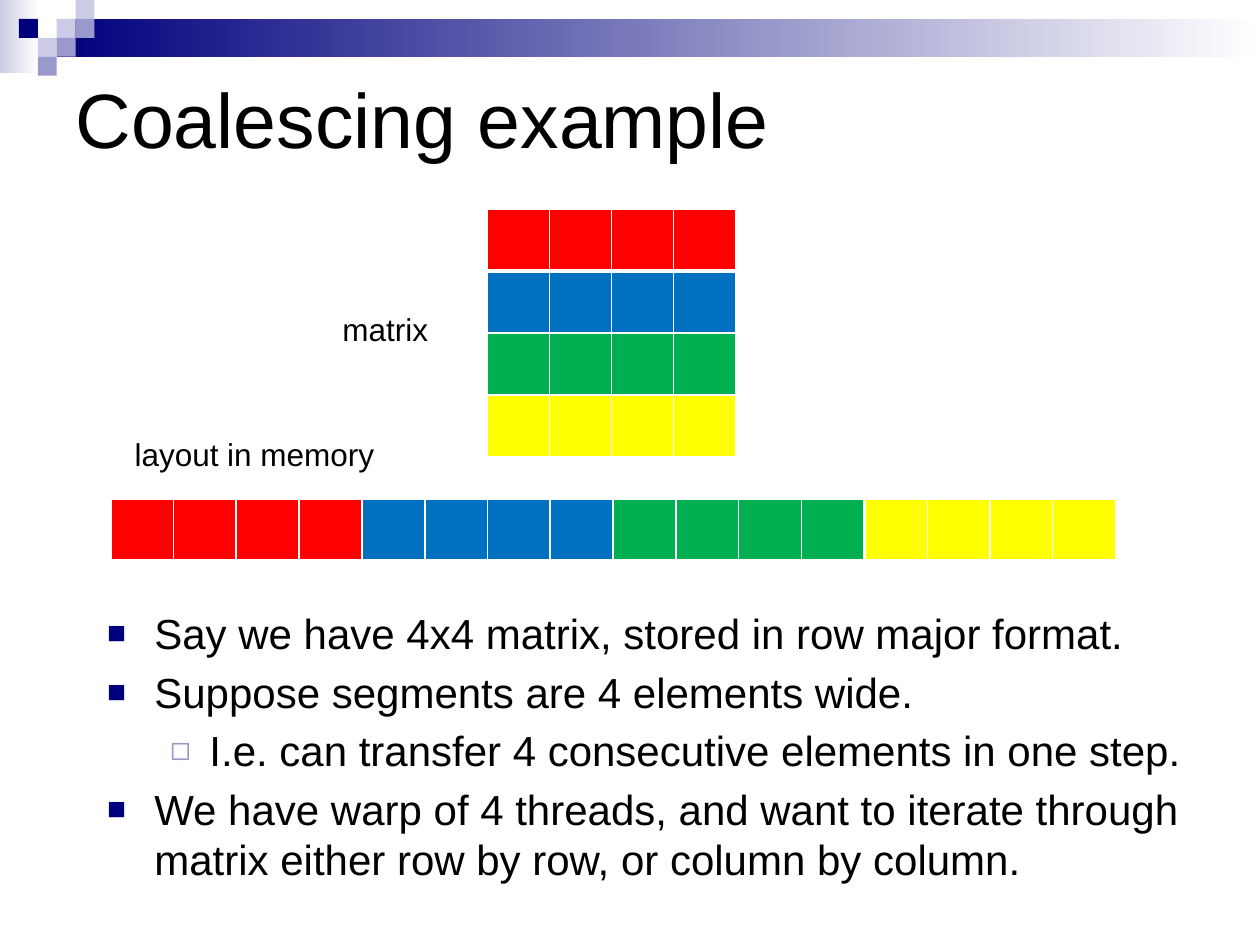
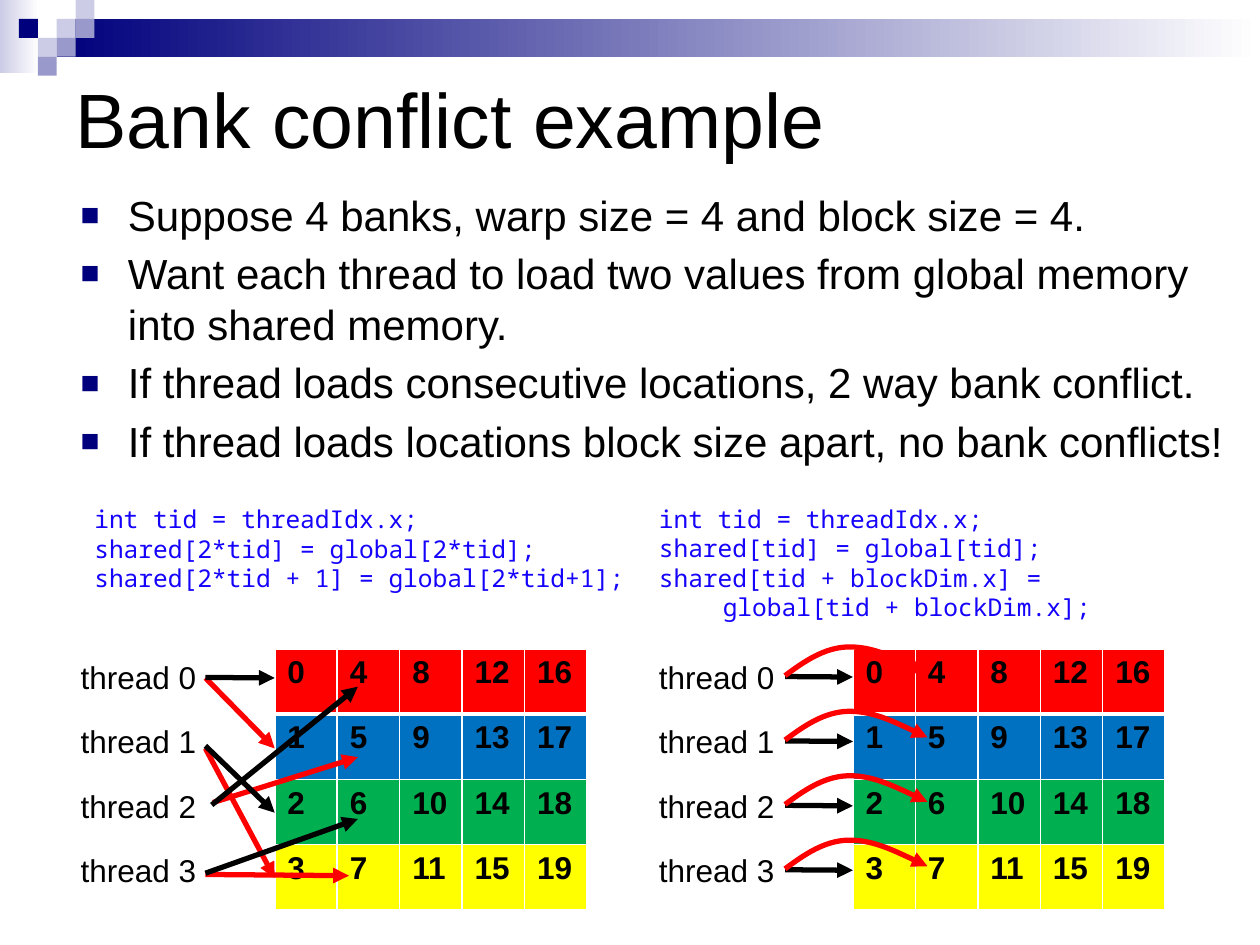
"""Build two slides on memory coalescing and shared-memory bank conflicts."""
from dataclasses import dataclass
from typing import NamedTuple, Optional

import lxml.etree as etree
import pptx
import pptx.dml.color
import pptx.enum.shapes
import pptx.enum.text
import pptx.oxml.ns
import pptx.util

Pt = pptx.util.Pt
RGB = pptx.dml.color.RGBColor.from_string
qn = pptx.oxml.ns.qn
RECT = pptx.enum.shapes.MSO_SHAPE.RECTANGLE
STRAIGHT = pptx.enum.shapes.MSO_CONNECTOR.STRAIGHT
LEFT = pptx.enum.text.PP_ALIGN.LEFT
MIDDLE = pptx.enum.text.MSO_ANCHOR.MIDDLE


@dataclass(frozen=True)
class Theme:
    navy: str = "00007D"
    lilac: str = "9999CC"
    pale: str = "CCCCE6"
    white: str = "FFFFFF"
    black: str = "000000"
    red: str = "FF0000"
    code: str = "1503FB"
    rows: tuple = ("FF0000", "0070C0", "00B050", "FFFF00")
    font: str = "Arial"
    mono: str = "Noto Sans Mono"
    title_size: float = 44
    body_size: float = 24
    label_size: float = 18
    code_size: float = 14
    arrow_width: float = 3


T = Theme()


class Box(NamedTuple):
    x: float
    y: float
    w: float
    h: float

    def lengths(self) -> list:
        return [Pt(v) for v in self]


class Bullet(NamedTuple):
    char: str
    color: str
    percent: int
    margin: float
    hang: float


class Square(NamedTuple):
    col: int
    row: int
    color: str


class Arrow(NamedTuple):
    x1: float
    y1: float
    x2: float
    y2: float
    color: str


BULLETS = (Bullet("■", T.navy, 75, 27, 27), Bullet("◻", T.lilac, 80, 58.5, 22.5))
UNIT = 10.8
SQUARES = (
    Square(3, 1, T.pale), Square(4, 0, T.pale), Square(4, 1, T.lilac), Square(2, 2, T.pale),
    Square(1, 1, T.navy), Square(3, 2, T.lilac), Square(2, 3, T.lilac),
)
CONSECUTIVE_ARROWS = (
    Arrow(117.4, 387.4, 157, 427.7, T.red), Arrow(117.4, 427.7, 157, 501.8, T.red),
    Arrow(121.7, 458.6, 204.5, 432.7, T.red), Arrow(117.4, 499.7, 199.4, 500.4, T.red),
    Arrow(117.4, 387.1, 157, 387.4, T.black), Arrow(117.4, 426.2, 157, 464.4, T.black),
    Arrow(121, 460, 204.5, 392.4, T.black), Arrow(117.4, 499, 204.5, 468, T.black),
)
ARC = ((10.8, -8), (22.3, -16), (36, -16.4), (49.7, -16.6), (65.5, -9), (81.4, -1.5))


def write(tf, text: str, *, size: float, font: str = T.font, color: str = T.black,
          bold: bool = False, level: int = 0, bullet: Optional[Bullet] = None,
          margin: float = 0):
    """Add one formatted paragraph to a text frame."""
    p = tf.paragraphs[0] if not tf.text else tf.add_paragraph()
    p.text = text
    p.level = level
    p.alignment = LEFT
    for r in p.runs:
        r.font.name, r.font.size, r.font.bold = font, Pt(size), bold
        r.font.color.rgb = RGB(color)
    pPr = p._p.get_or_add_pPr()
    if margin:
        pPr.set("marL", str(Pt(margin)))
        pPr.set("indent", str(-Pt(margin)))
    if bullet:
        pPr.set("marL", str(Pt(bullet.margin)))
        pPr.set("indent", str(-Pt(bullet.hang)))
        clr = etree.SubElement(pPr, qn("a:buClr"))
        etree.SubElement(clr, qn("a:srgbClr"), val=bullet.color)
        etree.SubElement(pPr, qn("a:buSzPct"), val=str(bullet.percent * 1000))
        etree.SubElement(pPr, qn("a:buFont"), typeface=T.font)
        etree.SubElement(pPr, qn("a:buChar"), char=bullet.char)
    return p


def place(sp, box: Box) -> None:
    """Move and size a shape."""
    sp.left, sp.top, sp.width, sp.height = box.lengths()


def add_rect(s, box: Box, color: str, fade_to: Optional[str] = None):
    """Add a plain or left-to-right graded rectangle."""
    sp = s.shapes.add_shape(RECT, *box.lengths())
    sp.shadow.inherit = False
    sp.line.fill.background()
    if fade_to:
        sp.fill.gradient()
        sp.fill.gradient_angle = 0
        for stop, stop_color in zip(sp.fill.gradient_stops, (color, fade_to)):
            stop.color.rgb = RGB(stop_color)
    else:
        sp.fill.solid()
        sp.fill.fore_color.rgb = RGB(color)
    return sp


def decorate_master(prs, s) -> None:
    """Put the header band and its squares on the slide master."""
    shapes = [add_rect(s, Box(0, 0, 22.3, 41.8), T.pale, T.white),
              add_rect(s, Box(3 * UNIT, UNIT, 720 - 3 * UNIT, 2 * UNIT), T.navy, T.white)]
    shapes += [add_rect(s, Box(q.col * UNIT, q.row * UNIT, UNIT, UNIT), q.color)
               for q in SQUARES]
    for i, sp in enumerate(shapes):
        prs.slide_master.shapes.element.insert(2 + i, sp.element)


def add_slide(prs, title: str, body: Box, items: tuple):
    """Add a slide with a title and a bulleted list of (level, text)."""
    s = prs.slides.add_slide(prs.slide_layouts[1])
    place(s.shapes.title, Box(36, 36, 648, 62))
    tf = s.shapes.title.text_frame
    tf.vertical_anchor = MIDDLE
    write(tf, title, size=T.title_size)
    sp = s.placeholders[1]
    place(sp, body)
    sp.text_frame.auto_size = pptx.enum.text.MSO_AUTO_SIZE.NONE
    for level, text in items:
        write(sp.text_frame, text, size=T.body_size, level=level, bullet=BULLETS[level])
    return s


def add_text(s, box: Box, *lines: str, hang_last: float = 0, **style) -> None:
    """Add a wrapping text box, optionally with a hanging last line."""
    tf = s.shapes.add_textbox(*box.lengths()).text_frame
    tf.word_wrap = True
    for line in lines:
        write(tf, line, margin=hang_last if line == lines[-1] else 0, **style)


def add_border(cell, side: str, width: float) -> None:
    """Give one side of a cell a white line."""
    ln = etree.SubElement(cell._tc.get_or_add_tcPr(), qn("a:" + side), w=str(Pt(width)))
    fill = etree.SubElement(ln, qn("a:solidFill"))
    etree.SubElement(fill, qn("a:srgbClr"), val=T.white)


def add_grid(s, box: Box, colors: tuple, cols: int, numbered: bool = False) -> None:
    """Add a table with one colour a row, numbered down the columns if asked."""
    rows = len(colors)
    tbl = s.shapes.add_table(rows, cols, *box.lengths()).table
    tbl.first_row = tbl.horz_banding = False
    for i, color in enumerate(colors):
        tbl.rows[i].height = Pt(box.h / rows)
        for j in range(cols):
            tbl.columns[j].width = Pt(box.w / cols)
            cell = tbl.cell(i, j)
            for side, width in (("lnL", 1), ("lnR", 1), ("lnT", 3 if i == 1 else 1),
                                ("lnB", 3 if i == 0 else 1)):
                add_border(cell, side, width)
            cell.fill.solid()
            cell.fill.fore_color.rgb = RGB(color)
            if numbered:
                write(cell.text_frame, str(j * rows + i), size=T.label_size, bold=True)


def style_arrow(sp, color: str) -> None:
    """Set the line of a connector or curve and give it an arrowhead."""
    sp.line.color.rgb = RGB(color)
    sp.line.width = Pt(T.arrow_width)
    ln = sp.element.spPr.find(qn("a:ln"))
    etree.SubElement(ln, qn("a:tailEnd"), type="triangle")


def add_arrow(s, a: Arrow) -> None:
    """Add a straight arrow."""
    sp = s.shapes.add_connector(STRAIGHT, Pt(a.x1), Pt(a.y1), Pt(a.x2), Pt(a.y2))
    style_arrow(sp, a.color)
    etree.SubElement(sp.element.spPr, qn("a:effectLst"))


def add_arc(s, x: float, y: float) -> None:
    """Add a curved red arrow made of two cubic segments."""
    fb = s.shapes.build_freeform(Pt(x), Pt(y))
    fb.add_line_segments([(Pt(x + dx), Pt(y + dy)) for dx, dy in ARC], close=False)
    sp = fb.convert_to_shape()
    outline = sp.element.find(".//" + qn("a:path"))
    segments = outline.findall(qn("a:lnTo"))
    for i in range(0, len(segments), 3):
        curve = etree.SubElement(outline, qn("a:cubicBezTo"))
        for segment in segments[i:i + 3]:
            curve.append(segment[0])
            outline.remove(segment)
    sp.fill.background()
    style_arrow(sp, T.red)
    sp.shadow.inherit = False


def add_bank_panel(s, x: float) -> None:
    """Add the numbered bank table and its thread labels."""
    add_grid(s, Box(x + 118, 370.8, 178.5, 149), T.rows, 5, numbered=True)
    for i in range(4):
        add_text(s, Box(x, 372.7 + 36.6 * i, 90, 29), f"thread {i}", size=T.label_size)


def build_coalescing(prs) -> None:
    """Build the slide on coalescing."""
    s = add_slide(prs, "Coalescing example", Box(54, 343.4, 638, 180.7), (
        (0, "Say we have 4x4 matrix, stored in row major format."),
        (0, "Suppose segments are 4 elements wide."),
        (1, "I.e. can transfer 4 consecutive elements in one step."),
        (0, "We have warp of 4 threads, and want to iterate through matrix either "
            "row by row, or column by column."),
    ))
    decorate_master(prs, s)
    add_grid(s, Box(278.6, 119.5, 141.8, 141.8), T.rows, 4)
    for i, color in enumerate(T.rows):
        add_grid(s, Box(63.4 + 143.6 * i, 285.1, 143.2, 35.5), (color,), 4)
    add_text(s, Box(188.6, 173.5, 88.6, 31.7), "matrix", size=T.label_size)
    add_text(s, Box(69.8, 244.8, 207.4, 31.7), "layout in memory", size=T.label_size)


def build_bank_conflict(prs) -> None:
    """Build the slide on bank conflicts."""
    s = add_slide(prs, "Bank conflict example", Box(38.9, 104.4, 673.2, 185), (
        (0, "Suppose 4 banks, warp size = 4 and block size = 4."),
        (0, "Want each thread to load two values from global memory into shared memory."),
        (0, "If thread loads consecutive locations, 2 way bank conflict."),
        (0, "If thread loads locations block size apart, no bank conflicts!"),
    ))
    add_bank_panel(s, 39)
    for arrow in CONSECUTIVE_ARROWS:
        add_arrow(s, arrow)
    add_bank_panel(s, 369.4)
    starts = [386.6 + 36.8 * i for i in range(4)]
    for y in starts:
        add_arrow(s, Arrow(448.6, y, 487.4, y + 0.3, T.black))
    for y in starts:
        add_arc(s, 448.6, y - 0.5)
    code = dict(size=T.code_size, font=T.mono, color=T.code)
    add_text(s, Box(46.8, 284.6, 330.5, 58.3), "int tid = threadIdx.x;",
             "shared[2*tid] = global[2*tid];", "shared[2*tid + 1] = global[2*tid+1];", **code)
    add_text(s, Box(369.4, 284.4, 330.5, 75), "int tid = threadIdx.x;",
             "shared[tid] = global[tid];",
             "shared[tid + blockDim.x] =\vglobal[tid + blockDim.x];", hang_last=36.5, **code)


def main() -> None:
    """Build and save the presentation."""
    prs = pptx.Presentation()
    prs.slide_width, prs.slide_height = Pt(720), Pt(540)
    build_coalescing(prs)
    build_bank_conflict(prs)
    prs.save("out.pptx")


if __name__ == "__main__":
    main()
